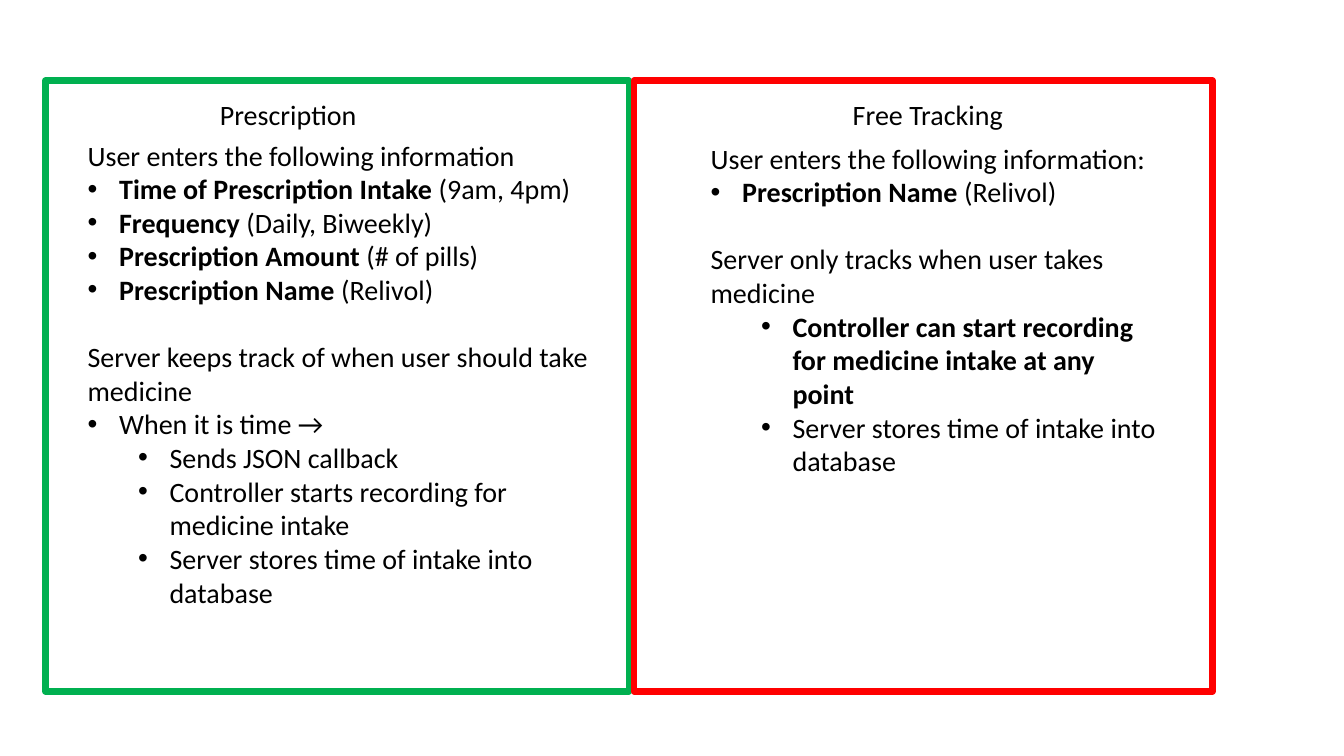
from lxml import etree
from pptx import Presentation
from pptx import util as u
from pptx.dml.color import RGBColor
from pptx.enum import shapes, text
from pptx.oxml.ns import qn


def colour(code):
    return RGBColor.from_string(code)


def write(para, words, size=20, font="Calibri", fill="000000", bold=False):
    span = para.add_run()
    span.text = words
    span.font.size = u.Pt(size)
    span.font.name = font
    span.font.color.rgb = colour(fill)
    span.font.bold = bold


class Painter:
    line_height = 24
    border = 4.5
    hanging = 22.5
    level_step = 36

    def __init__(self, page):
        self.page = page

    def frame(self, left, top, width, height, line):
        box = self.page.shapes.add_shape(
            shapes.MSO_SHAPE.RECTANGLE, *map(u.Pt, (left, top, width, height)))
        box.shadow.inherit = False
        box.fill.background()
        box.line.color.rgb = colour(line)
        box.line.width = u.Pt(self.border)

    def place(self, index, left, top, width, height):
        box = self.page.placeholders[index]
        box.left, box.top, box.width, box.height = map(u.Pt, (left, top, width, height))
        body = box.text_frame
        body.word_wrap = True
        body.auto_size = text.MSO_AUTO_SIZE.NONE
        body.vertical_anchor = text.MSO_ANCHOR.TOP
        return body

    def heading(self, index, words, left, top, width, height):
        para = self.place(index, left, top, width, height).paragraphs[0]
        para.space_before = u.Pt(0)
        write(para, words)

    def listing(self, index, items, left, top, width, height):
        body = self.place(index, left, top, width, height)
        for number, (depth, strong, plain) in enumerate(items):
            para = body.add_paragraph() if number else body.paragraphs[0]
            new_section = number > 0 and depth == 0
            para.space_before = u.Pt(self.line_height if new_section else 0)
            self.bullet(para, depth)
            if strong:
                write(para, strong, bold=True)
            if plain:
                write(para, plain)

    def bullet(self, para, depth):
        para.level = max(depth - 1, 0)
        props = para._p.get_or_add_pPr()
        hanging = self.hanging if depth else 0
        props.set("marL", str(u.Pt(hanging + para.level * self.level_step)))
        props.set("indent", str(u.Pt(-hanging)))
        if depth:
            etree.SubElement(props, qn("a:buFont")).set("typeface", "Arial")
            etree.SubElement(props, qn("a:buChar")).set("char", "•")
        else:
            etree.SubElement(props, qn("a:buNone"))


PRESCRIPTION = [
    (0, "", "User enters the following information"),
    (1, "Time of Prescription Intake ", "(9am, 4pm)"),
    (1, "Frequency", " (Daily, Biweekly)"),
    (1, "Prescription Amount ", "(# of pills)"),
    (1, "Prescription Name", " (Relivol)"),
    (0, "", "Server keeps track of when user should take medicine"),
    (1, "", "When it is time →"),
    (2, "", "Sends JSON callback"),
    (2, "", "Controller starts recording for medicine intake"),
    (2, "", "Server stores time of intake into database"),
]
FREE_TRACKING = [
    (0, "", "User enters the following information:"),
    (1, "Prescription Name ", "(Relivol)"),
    (0, "", "Server only tracks when user takes medicine"),
    (2, "Controller can start recording for medicine intake at any point", ""),
    (2, "", "Server stores time of intake into database"),
]

deck = Presentation()
deck.slide_width, deck.slide_height = u.Pt(960), u.Pt(540)
page = deck.slides.add_slide(deck.slide_layouts.get_by_name("Comparison"))
title = page.shapes.title.element
title.getparent().remove(title)

painter = Painter(page)
painter.frame(32.4, 57.6, 416.9, 436.3, "00B050")
painter.heading(1, "Prescription", 149.8, 66.2, 255.6, 31.7)
painter.listing(2, PRESCRIPTION, 55.4, 95, 374.4, 395)
painter.heading(3, "Free Tracking", 601.9, 66.2, 255.6, 31.7)
painter.listing(4, FREE_TRACKING, 500.4, 97.2, 332.6, 395)
painter.frame(452.9, 57.6, 413.3, 436.3, "FF0000")

deck.save("out.pptx")
